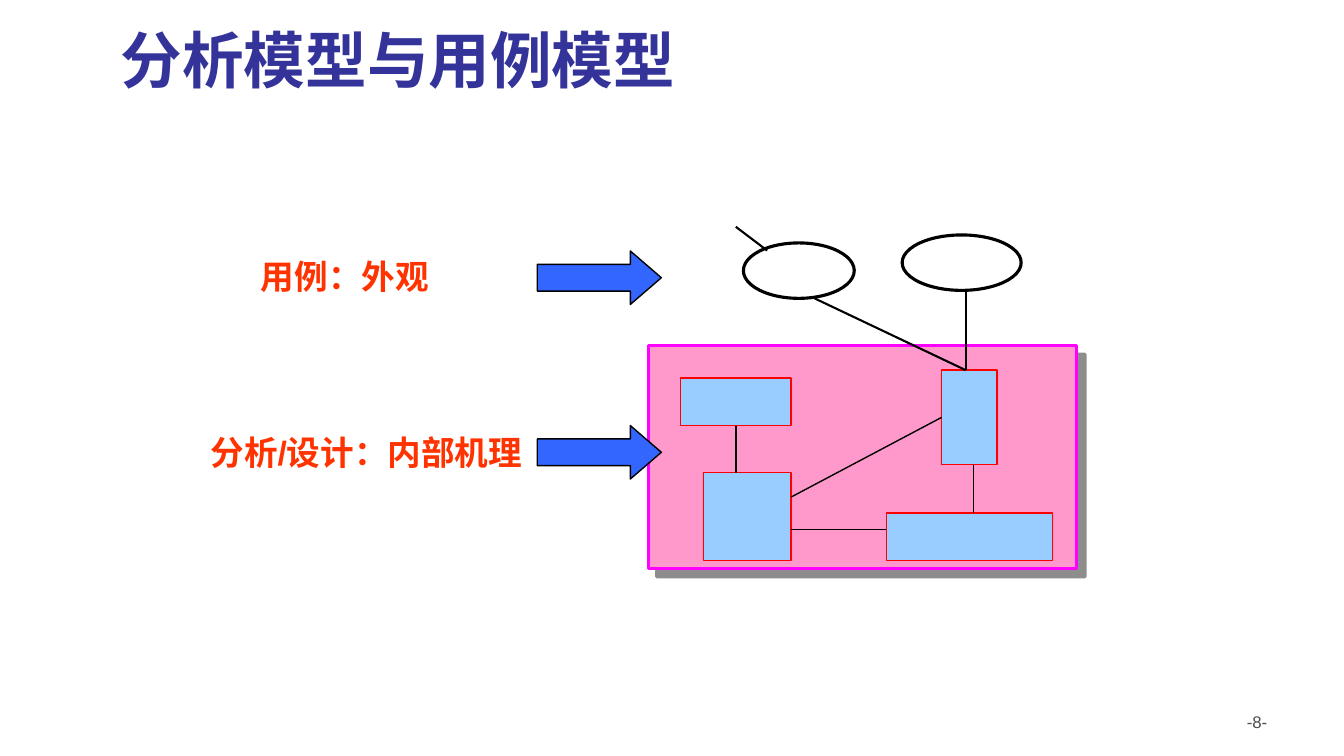
from lxml import etree
from pptx import Presentation, util as u
from pptx.dml.color import RGBColor
from pptx.enum import shapes, text
from pptx.oxml.ns import qn

COLORS = {
    "title": "333399", "label": "FF3300", "number": "4D4D4D",
    "panel": "FF99CC", "panel_edge": "FF00FF",
    "node": "99CCFF", "node_edge": "FF0000",
    "arrow": "3366FF", "ink": "000000", "shadow": "1C1C1C",
}
KIND = shapes.MSO_SHAPE


def color(name):
    return RGBColor.from_string(COLORS[name])


def write(box, words, font="Arial", size=24, tint="label", bold=True,
          align=text.PP_ALIGN.LEFT, anchor=text.MSO_ANCHOR.TOP):
    frame = box.text_frame
    frame.word_wrap = True
    frame.vertical_anchor = anchor
    para = frame.paragraphs[0]
    para.alignment = align
    span = para.add_run()
    span.text = words
    span.font.name = font
    span.font.size = u.Pt(size)
    span.font.bold = bold
    span.font.color.rgb = color(tint)


class Diagram:
    def __init__(self, page):
        self.page = page

    def label(self, words, left, top, width, height, **style):
        box = self.page.shapes.add_textbox(*map(u.Pt, (left, top, width, height)))
        write(box, words, **style)

    def shape(self, kind, place, fill=None, edge="ink", weight=1):
        shape = self.page.shapes.add_shape(kind, *map(u.Pt, place))
        shape.shadow.inherit = False
        if fill:
            shape.fill.solid()
            shape.fill.fore_color.rgb = color(fill)
        else:
            shape.fill.background()
        shape.line.color.rgb = color(edge)
        shape.line.width = u.Pt(weight)
        return shape

    def panel(self, *place):
        panel = self.shape(KIND.RECTANGLE, place, "panel", "panel_edge", 2.25)
        effects = panel._element.spPr.find(qn("a:effectLst"))
        shadow = etree.SubElement(effects, qn("a:outerShdw"), blurRad="0",
                                  dist=str(u.Pt(8.5)), dir=str(45 * 60000),
                                  algn="ctr", rotWithShape="0")
        tint = etree.SubElement(shadow, qn("a:srgbClr"), val=COLORS["shadow"])
        etree.SubElement(tint, qn("a:alpha"), val="50000")

    def node(self, *place):
        return self.shape(KIND.RECTANGLE, place, "node", "node_edge")

    def use_case(self, *place):
        self.shape(KIND.OVAL, place, weight=2.25)

    def arrow(self, *place):
        arrow = self.shape(KIND.RIGHT_ARROW, place, "arrow")
        arrow.adjustments[0] = 0.5
        arrow.adjustments[1] = 0.58

    def link(self, start, end, weight=1):
        line = self.page.shapes.add_connector(
            shapes.MSO_CONNECTOR.STRAIGHT, *map(u.Pt, (*start, *end)))
        line.line.color.rgb = color("ink")
        line.line.width = u.Pt(weight)
        etree.SubElement(line._element.spPr, qn("a:effectLst"))
        return line


def main():
    deck = Presentation()
    deck.slide_width, deck.slide_height = u.Pt(960), u.Pt(540)
    page = deck.slides.add_slide(deck.slide_layouts[6])
    diagram = Diagram(page)

    diagram.label("-8-", 688.3, 504.7, 224, 37.4, size=12, tint="number",
                  bold=False, align=text.PP_ALIGN.RIGHT)
    diagram.label("分析模型与用例模型", 79.2, 20.9, 792.7, 51.1, font="Cabin",
                  size=44, tint="title", anchor=text.MSO_ANCHOR.BOTTOM)

    diagram.panel(463, 247, 306, 159)
    upper_left = diagram.node(486, 270, 79.2, 34)
    upper_right = diagram.node(672.5, 264.4, 39.6, 67.6)
    diagram.node(502.6, 337.7, 62.6, 62.6)
    diagram.node(633, 366.5, 118.8, 33.8)

    diagram.link((565.2, 355), (672.5, 298.2)).end_connect(upper_right, 1)
    diagram.link((695.5, 366.5), (695.5, 332))
    diagram.link((565.2, 378), (633, 378))
    diagram.link((525.6, 304), (525.6, 337.7)).begin_connect(upper_left, 2)

    diagram.use_case(531, 173.5, 79.2, 39.6)
    diagram.use_case(644.4, 167.8, 85, 39.6)
    diagram.link((581.8, 213.1), (689.8, 264.4), 1.5)
    diagram.link((689.8, 207.4), (689.8, 264.4), 1.5)
    diagram.link((548, 179), (525.6, 162), 1.5)

    diagram.label("用例：外观", 179.3, 179.3, 187.2, 36)
    diagram.label("分析/设计：内部机理", 143.3, 305.3, 240.5, 36)
    for top in (179.3, 304):
        diagram.arrow(383.8, top, 88.6, 38.2)

    deck.save("out.pptx")


if __name__ == "__main__":
    main()
